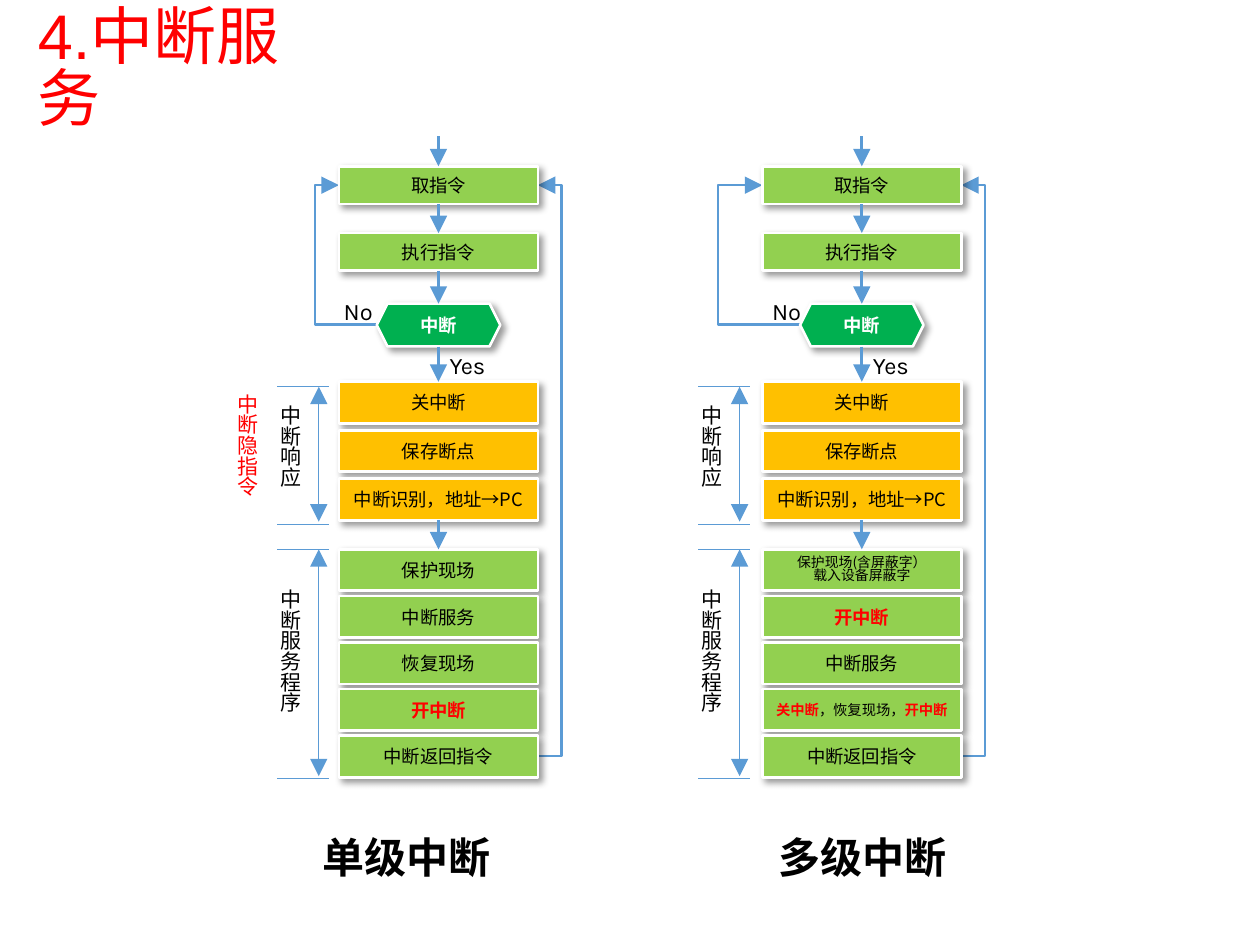
from dataclasses import dataclass, field

from lxml.etree import SubElement
from pptx import Presentation
from pptx.dml.color import RGBColor
from pptx.enum.shapes import MSO_CONNECTOR as Conn, MSO_SHAPE as Shape
from pptx.enum.text import MSO_ANCHOR as Anchor, MSO_AUTO_SIZE as Fit, PP_ALIGN as Align
from pptx.oxml.ns import qn
from pptx.util import Inches, Pt

CJK = "Noto Sans CJK SC"


@dataclass
class Theme:
    """Colours, line widths and type styles of the slide."""
    line: str = "5B9BD5"
    edge: str = "FFFFFF"
    shadow: str = "000000"
    green: str = "92D050"
    amber: str = "FFC000"
    test: str = "00B050"
    bold_line: float = 1.5
    thin_line: float = 0.5
    tight: float = 0.82
    text: dict = field(default_factory=lambda: {
        "title": (36, "Arial", "FF0000", False),
        "caption": (24, "Times New Roman", "000000", True),
        "step": (10.5, CJK, "000000", False),
        "key": (10.5, CJK, "FF0000", True),
        "test": (10.5, CJK, "FFFFFF", True),
        "note": (7.9, CJK, "000000", False),
        "mix": (8.2, CJK, "000000", False),
        "mix key": (8.2, CJK, "FF0000", True),
        "answer": (13.5, "Karla", "000000", False),
        "phase": (12, CJK, "000000", False),
        "hidden": (12, CJK, "FF0000", False),
    })


class Flow:
    """Draws flowchart parts on a slide with a grid of 100 columns by 75 rows."""

    def __init__(self, prs, theme):
        """Add a title-only slide and keep the grid and the theme."""
        self.s = prs.slides.add_slide(prs.slide_layouts[5])
        self.theme = theme
        self.col, self.row = prs.slide_width / 100, prs.slide_height / 75

    def grid(self, *xy):
        """Turn alternating columns and rows into lengths."""
        return [round(v * (self.row if i % 2 else self.col)) for i, v in enumerate(xy)]

    def fill_text(self, sp, paras, align=Align.LEFT, spacing=None, **frame):
        """Fill a shape with paragraphs made of (text, style) runs."""
        tf = sp.text_frame
        for name, value in frame.items():
            setattr(tf, name, value)
        for i, runs in enumerate(paras):
            p = tf.add_paragraph() if i else tf.paragraphs[0]
            p.alignment, p.line_spacing = align, spacing
            for text, style in runs:
                r = p.add_run()
                r.text = text
                size, name, color, bold = self.theme.text[style]
                for key, value in {"size": Pt(size), "name": name, "bold": bold}.items():
                    setattr(r.font, key, value)
                r.font.color.rgb = RGBColor.from_string(color)
                SubElement(r.font._element, qn("a:ea"), typeface=CJK)

    def title(self, text, x, y, w, h):
        """Place and format the title placeholder."""
        sp = self.s.shapes.title
        sp.left, sp.top, sp.width, sp.height = self.grid(x, y, w, h)
        self.fill_text(sp, [[(text, "title")]], spacing=self.theme.tight, word_wrap=True,
                       auto_size=Fit.SHAPE_TO_FIT_TEXT, vertical_anchor=Anchor.TOP)

    def label(self, paras, style, x, y, w, h, **fmt):
        """Add a text box."""
        sp = self.s.shapes.add_textbox(*self.grid(x, y, w, h))
        fmt = {"word_wrap": True, "auto_size": Fit.SHAPE_TO_FIT_TEXT} | fmt
        self.fill_text(sp, [[(text, style)] for text in paras], **fmt)

    def box(self, paras, fill, x, y, w, h, kind=Shape.RECTANGLE, spacing=None):
        """Add a filled, shadowed shape with centred text."""
        sp = self.s.shapes.add_shape(kind, *self.grid(x, y, w, h))
        sp.fill.solid()
        sp.fill.fore_color.rgb = RGBColor.from_string(fill)
        sp.line.color.rgb = RGBColor.from_string(self.theme.edge)
        sp.line.width = Pt(self.theme.bold_line)
        sp.shadow.inherit = False
        shadow = SubElement(sp._element.spPr.find(qn("a:effectLst")), qn("a:outerShdw"),
                            blurRad=str(Pt(4)), dist=str(Pt(3)), dir="2700000",
                            algn="tl", rotWithShape="0")
        color = SubElement(shadow, qn("a:srgbClr"), val=self.theme.shadow)
        SubElement(color, qn("a:alpha"), val="40000")
        self.fill_text(sp, paras, Align.CENTER, spacing, word_wrap=True,
                       vertical_anchor=Anchor.MIDDLE, margin_left=0, margin_right=0,
                       margin_top=0, margin_bottom=0)
        return sp

    def line(self, x1, y1, x2, y2, ends=("tailEnd",), width=None, via=None, start=None, stop=None):
        """Add a straight line, or an elbow through column via."""
        kind = Conn.STRAIGHT if via is None else Conn.ELBOW
        c = self.s.shapes.add_connector(kind, *self.grid(x1, y1, x2, y2))
        c.line.color.rgb = RGBColor.from_string(self.theme.line)
        c.line.width = Pt(width or self.theme.bold_line)
        spPr = c._element.spPr
        for end in ends:
            SubElement(spPr.find(qn("a:ln")), qn("a:" + end), type="triangle", w="lg", len="lg")
        SubElement(spPr, qn("a:effectLst"))
        if via is not None:
            share = round(100000 * (via - x1) / (x2 - x1))
            guides = spPr.find(qn("a:prstGeom")).find(qn("a:avLst"))
            SubElement(guides, qn("a:gd"), name="adj1", fmla=f"val {share}")
        if start is not None:
            c.begin_connect(start, 2)
        if stop is not None:
            c.end_connect(stop, 0)

    def bracket(self, paras, x, top, bottom, label_top, label_h):
        """Mark a phase with two ticks, a double arrow and a vertical label."""
        thin = self.theme.thin_line
        for y in (top, bottom):
            self.line(x, y, x + 4.1, y, (), thin)
        self.line(x + 3.3, top, x + 3.3, bottom - 0.2, ("headEnd", "tailEnd"), thin)
        self.label(paras, "phase", x - 0.7, label_top, 3.5, label_h, spacing=self.theme.tight)

    def lane(self, caption, service, x, loop, bracket, no, caption_x):
        """Draw one whole flowchart whose boxes start at column x."""
        t, w = self.theme, 15.8
        mid = x + w / 2
        self.line(x + w - 0.1, 60, x + w, 14.7, via=x + 17.7)
        self.line(x + 3, 25.75, x, 14.7, via=loop)
        fetch, execute = [self.box([[(text, "step")]], t.green, x, y, w, 3)
                          for text, y in (("取指令", 13.2), ("执行指令", 18.5))]
        self.box([[("中断", "test")]], t.test, x + 3, 24.1, 9.8, 3.4, Shape.HEXAGON)
        response = [self.box([[(text, "step")]], t.amber, x, 30.3 + 3.85 * i, w, 3.3)
                    for i, text in enumerate(("关中断", "保存断点", "中断识别，地址→PC"))]
        routine = [self.box(paras, t.green, x, 43.6 + 3.7 * i, w, 3.3,
                            spacing=t.tight if len(paras) > 1 else None)
                   for i, paras in enumerate(service)]
        for y1, y2, start, stop in ((10.8, 13.2, None, fetch), (16.2, 18.5, fetch, execute),
                                    (21.5, 24.1, execute, None), (27.5, 30.3, None, response[0]),
                                    (41.3, 43.6, response[-1], routine[0])):
            self.line(mid, y1, mid, y2, start=start, stop=stop)
        self.label(["No"], "answer", no, 23.05, 4.7, 3.3)
        self.label(["Yes"], "answer", mid - 0.1, 27.35, 6, 3.3)
        self.bracket(["中断", "响应"], bracket, 30.7, 41.6, 31.8, 9.1)
        self.bracket(["中断", "服务程序"], bracket, 43.6, 61.8, 46.4, 13.1)
        self.label([caption], "caption", caption_x, 65.1, 19.5, 5.8, word_wrap=False,
                   auto_size=Fit.NONE, vertical_anchor=Anchor.MIDDLE,
                   margin_left=0, margin_right=0)


def main():
    """Build the slide and save it."""
    prs = Presentation()
    prs.slide_width, prs.slide_height = Inches(10), Inches(7.5)
    flow = Flow(prs, Theme())
    flow.title("4.中断服务", 2, 0.3, 26, 7.1)
    save, serve, restore, back = [[[(text, "step")]] for text in
                                  ("保护现场", "中断服务", "恢复现场", "中断返回指令")]
    enable = [[("开中断", "key")]]
    masked = [[("保护现场(含屏蔽字）", "note")], [("载入设备屏蔽字", "note")]]
    guarded = [[("关中断", "mix key"), ("，恢复现场，", "mix"), ("开中断", "mix key")]]
    flow.lane("单级中断", (save, serve, restore, enable, back),
              x=26.9, loop=25, bracket=22, no=26.3, caption_x=25.6)
    flow.lane("多级中断", (masked, enable, serve, guarded, back),
              x=60.5, loop=57, bracket=55.4, no=60.3, caption_x=61.8)
    flow.label(["中断隐指令"], "hidden", 17.9, 30.9, 3.5, 11.1, spacing=flow.theme.tight)
    prs.save("out.pptx")


if __name__ == "__main__":
    main()
